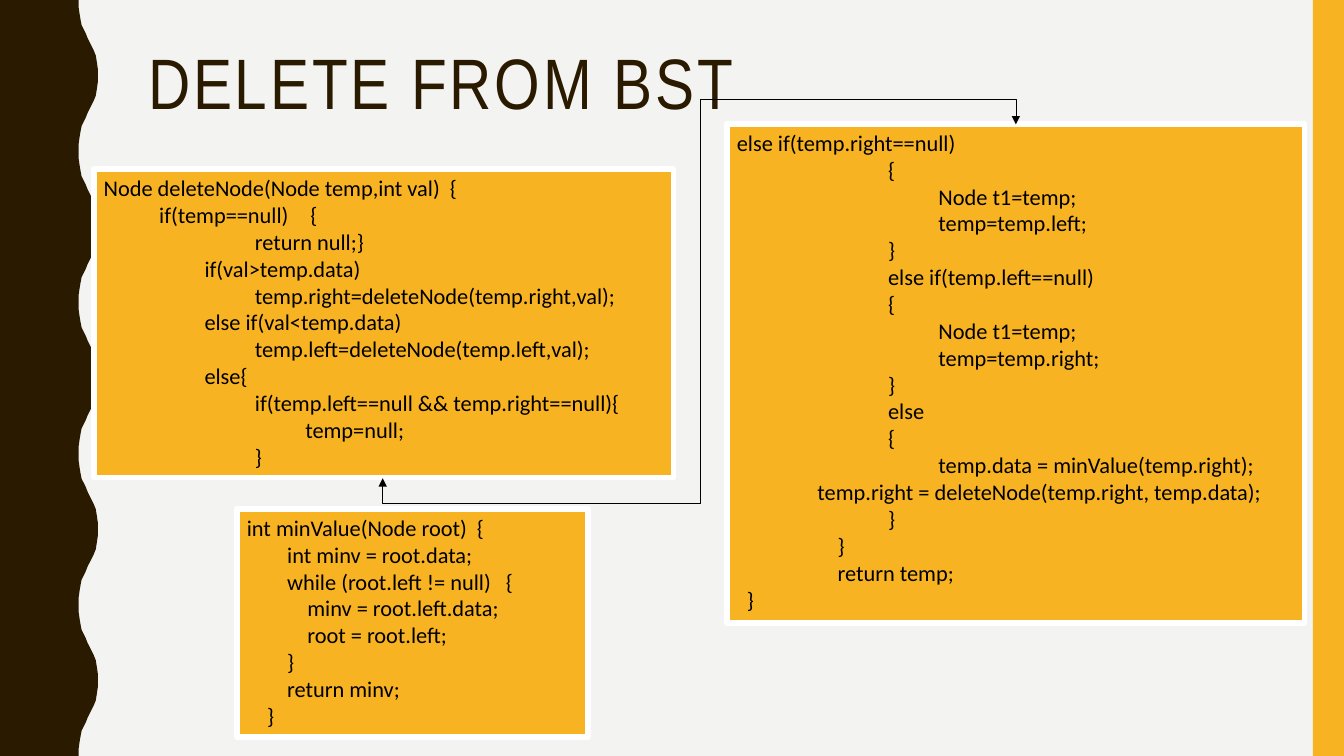
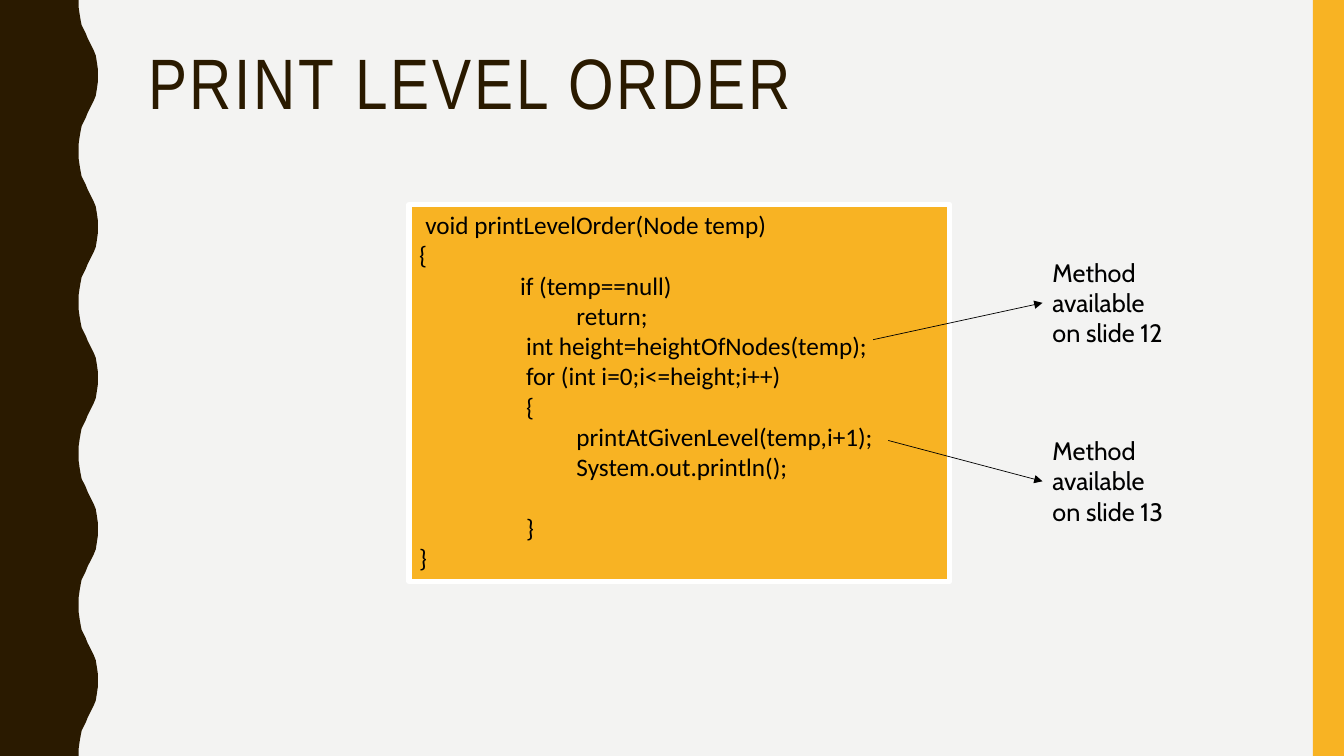
from dataclasses import dataclass

from lxml import etree
from pptx import Presentation
from pptx.dml.color import RGBColor
from pptx.enum.shapes import MSO_CONNECTOR, MSO_SHAPE
from pptx.enum.text import MSO_ANCHOR, MSO_AUTO_SIZE, PP_ALIGN
from pptx.oxml.ns import qn
from pptx.util import Inches, Pt

RECT = MSO_SHAPE.RECTANGLE
STRAIGHT = MSO_CONNECTOR.STRAIGHT
ELBOW = MSO_CONNECTOR.ELBOW
TOP = MSO_ANCHOR.TOP
FIT = MSO_AUTO_SIZE.SHAPE_TO_FIT_TEXT
FIXED = MSO_AUTO_SIZE.NONE
LEFT = PP_ALIGN.LEFT


@dataclass(frozen=True)
class Theme:
    paper: RGBColor = RGBColor.from_string("F3F3F2")
    dark: RGBColor = RGBColor.from_string("2A1A00")
    gold: RGBColor = RGBColor.from_string("F8B323")
    white: RGBColor = RGBColor.from_string("FFFFFF")
    black: RGBColor = RGBColor.from_string("000000")
    head: str = "Arial Narrow"
    code: str = "Calibri"
    note: str = "Cabin"
    title: int = 51
    small: int = 16
    large: int = 18
    frame: int = 4
    hair: float = 0.5
    track: int = 200


THEME = Theme()
WIDE, HIGH = 13.33, 7.5
BAND = 0.31
WAVE = 1.5
RISE = [(0.78, 0), (0.78, 0.07), (0.79, 0.14), (0.8, 0.2), (0.81, 0.25),
        (0.83, 0.29), (0.85, 0.33), (0.87, 0.38), (0.89, 0.42), (0.91, 0.46),
        (0.93, 0.5), (0.95, 0.55), (0.96, 0.61), (0.97, 0.68), (0.97, 0.75)]

DELETE = [
    (0, "Node deleteNode(Node temp,int val)  {"),
    (0.55, "if(temp==null)\t{"),
    (1.5, "return null;}"),
    (1, "if(val>temp.data)"),
    (1.5, "temp.right=deleteNode(temp.right,val);"),
    (1, "else if(val<temp.data)"),
    (1.5, "temp.left=deleteNode(temp.left,val);"),
    (1, "else{"),
    (1.5, "if(temp.left==null && temp.right==null){"),
    (2, "temp=null;"),
    (1.5, "}"),
]
REST = [
    (0, "else if(temp.right==null)"),
    (1.5, "{"),
    (2, "Node t1=temp;"),
    (2, "temp=temp.left;"),
    (1.5, "}"),
    (1.5, "else if(temp.left==null)"),
    (1.5, "{"),
    (2, "Node t1=temp;"),
    (2, "temp=temp.right;"),
    (1.5, "}"),
    (1.5, "else"),
    (1.5, "{"),
    (2, "temp.data = minValue(temp.right);"),
    (0.8, "temp.right = deleteNode(temp.right, temp.data);"),
    (1.5, "}"),
    (1, "}"),
    (1, "return temp;"),
    (0.1, "}"),
]
LEAST = [
    (0, "int minValue(Node root)  {"),
    (0.4, "int minv = root.data;"),
    (0.4, "while (root.left != null)   {"),
    (0.6, "minv = root.left.data;"),
    (0.6, "root = root.left;"),
    (0.4, "}"),
    (0.4, "return minv;"),
    (0.2, "}"),
]
PRINT = [
    (0.06, "void printLevelOrder(Node temp)"),
    (0, "{"),
    (1, "if (temp==null)"),
    (1.56, "return;"),
    (1.06, "int height=heightOfNodes(temp);"),
    (1.06, "for (int i=0;i<=height;i++)"),
    (1.06, "{"),
    (1.56, "printAtGivenLevel(temp,i+1);"),
    (1.56, "System.out.println();"),
    (1.06, "}"),
    (0, "}"),
]
BREAK = 9


def apply(thing, **values):
    for name, value in values.items():
        setattr(thing, name, value)


def style(run, face, size, tint):
    apply(run.font, name=face, size=Pt(size), bold=False)
    run.font.color.rgb = tint


def paint(shape, tint):
    shape.shadow.inherit = False
    shape.fill.solid()
    shape.fill.fore_color.rgb = tint
    shape.line.fill.background()


def add_rect(slide, box, tint):
    shape = slide.shapes.add_shape(RECT, *map(Inches, box))
    paint(shape, tint)
    return shape


def add_wave(slide):
    cycle = RISE + [(x, WAVE - y) for x, y in RISE[-2::-1]]
    edge = [(x, y + WAVE * turn)
            for turn in range(round(HIGH / WAVE)) for x, y in cycle]
    points = [(Inches(x), Inches(y)) for x, y in edge + [(0, HIGH)]]
    draft = slide.shapes.build_freeform(0, 0)
    draft.add_line_segments(points, close=True)
    paint(draft.convert_to_shape(), THEME.dark)


def add_slide(deck, text):
    slide = deck.slides.add_slide(deck.slide_layouts[5])
    add_wave(slide)
    add_rect(slide, (WIDE - BAND, 0, BAND, HIGH), THEME.gold)
    title = slide.shapes.title
    apply(title, left=Inches(1.37), top=Inches(0.42),
          width=Inches(11.13), height=Inches(1.63))
    apply(title.text_frame, vertical_anchor=TOP, auto_size=FIXED,
          word_wrap=True)
    para = title.text_frame.paragraphs[0]
    apply(para, alignment=LEFT, line_spacing=0.9)
    run = para.add_run()
    run.text = text
    style(run, THEME.head, THEME.title, THEME.dark)
    run.font._element.set("spc", str(THEME.track))
    return slide


def add_code(slide, box, rows, size, gap=None):
    shape = add_rect(slide, box, THEME.gold)
    shape.line.color.rgb = THEME.white
    shape.line.width = Pt(THEME.frame)
    frame = shape.text_frame
    apply(frame, word_wrap=True, auto_size=FIT, vertical_anchor=TOP)
    for spot, (indent, text) in enumerate(rows):
        para = frame.add_paragraph() if spot else frame.paragraphs[0]
        para.alignment = LEFT
        props = para._p.get_or_add_pPr()
        props.set("marL", str(Inches(indent)))
        props.set("indent", "0")
        if spot == gap:
            para.space_before = Pt(size * 1.22)
        run = para.add_run()
        run.text = text
        style(run, THEME.code, size, THEME.black)


def add_note(slide, box, text):
    frame = slide.shapes.add_textbox(*map(Inches, box)).text_frame
    apply(frame, word_wrap=True, auto_size=FIT)
    run = frame.paragraphs[0].add_run()
    run.text = text
    style(run, THEME.note, THEME.large, THEME.black)


def add_arrow(slide, kind, ends, tips):
    link = slide.shapes.add_connector(kind, *map(Inches, ends))
    link.line.color.rgb = THEME.black
    link.line.width = Pt(THEME.hair)
    props = link._element.spPr
    for tip in tips:
        etree.SubElement(props.find(qn("a:ln")), qn(tip), type="triangle")
    etree.SubElement(props, qn("a:effectLst"))
    return link


def add_bend(slide, box, bends):
    left, top, width, height = box
    ends = (left, top, left + width, top + height)
    link = add_arrow(slide, ELBOW, ends, ("a:headEnd", "a:tailEnd"))
    props = link._element.spPr
    frame = props.find(qn("a:xfrm"))
    for name, value in {"rot": "5400000", "flipH": "1", "flipV": "1"}.items():
        frame.set(name, value)
    shape = props.find(qn("a:prstGeom"))
    shape.set("prst", "bentConnector5")
    guides = shape.find(qn("a:avLst"))
    if guides is None:
        guides = etree.SubElement(shape, qn("a:avLst"))
    for count, bend in enumerate(bends, 1):
        etree.SubElement(guides, qn("a:gd"), name=f"adj{count}",
                         fmla=f"val {bend}")


def build_delete(deck):
    slide = add_slide(deck, "DELETE FROM BST")
    add_code(slide, (0.93, 1.68, 5.75, 3.06), DELETE, THEME.small)
    add_code(slide, (7.21, 1.23, 5.73, 4.95), REST, THEME.small)
    add_code(slide, (2.35, 5.05, 3.48, 2.26), LEAST, THEME.small)
    add_bend(slide, (5.18, -0.15, 3.51, 6.28), (-7100, 50100, 107100))


def build_print(deck):
    slide = add_slide(deck, "PRINT LEVEL ORDER")
    add_code(slide, (4.06, 2.03, 5.36, 3.74), PRINT, THEME.large, BREAK)
    left, width, height = 10.34, 1.41, 1.01
    for page, top, start in ((12, 2.5, (8.66, 3.37)),
                             (13, 4.27, (8.81, 4.37))):
        add_note(slide, (left, top, width, height),
                 f"Method available on slide {page}")
        add_arrow(slide, STRAIGHT, (*start, left, top + height / 2),
                  ("a:tailEnd",))


def main():
    deck = Presentation()
    apply(deck, slide_width=Inches(WIDE), slide_height=Inches(HIGH))
    fill = deck.slide_master.background.fill
    fill.solid()
    fill.fore_color.rgb = THEME.paper
    build_delete(deck)
    build_print(deck)
    deck.save("out.pptx")


main()
